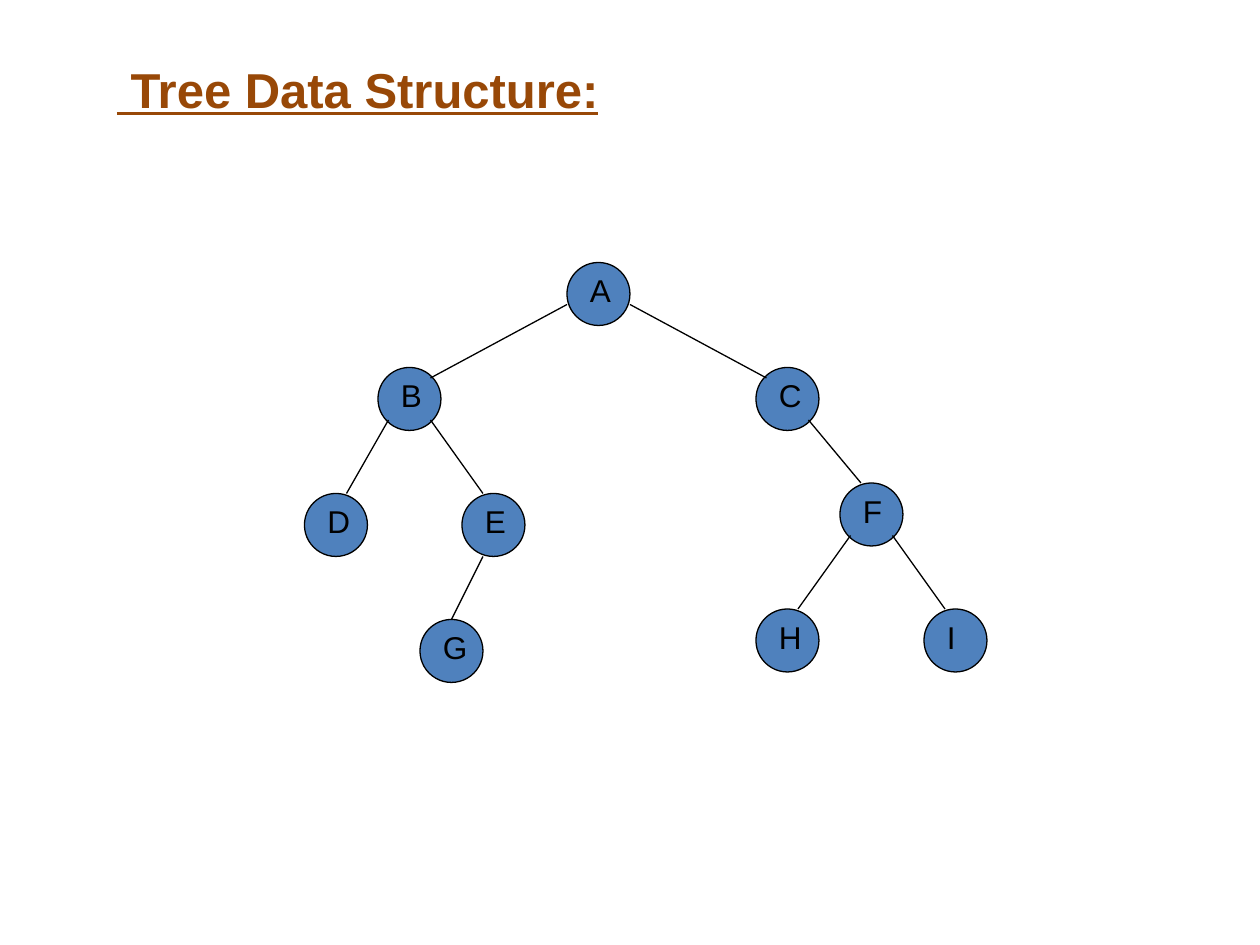
from lxml.etree import SubElement
from pptx import Presentation
from pptx.dml.color import RGBColor
from pptx.enum.shapes import MSO_CONNECTOR, MSO_SHAPE
from pptx.oxml.ns import qn
from pptx.util import Inches, Pt

# Tree coordinates count grid steps of a twelfth of an inch.
GRID = Inches(1) / 12
NODE_SIZE = 6

# Left and top of each node, and the width of its label in inches
NODES = {
    "A": (54, 25, 0.33),
    "B": (36, 35, 0.33),
    "D": (29, 47, 0.42),
    "H": (72, 58, 0.33),
    "C": (72, 35, 0.33),
    "E": (44, 47, 0.33),
    "F": (80, 46, 0.33),
    "G": (40, 59, 0.42),
    "I": (88, 58, 0.42),
}

# Places where a branch meets a node, measured from the node's corner
LEFT_SIDE, RIGHT_SIDE = (0, 4), (6, 4)
LOWER_LEFT, LOWER_RIGHT = (1, 5), (5, 5)
UPPER_LEFT, UPPER_RIGHT = (1, 1), (5, 1)
TOP_LEFT, TOP, TOP_RIGHT = (2, 0), (3, 0), (4, 0)
BOTTOM_LEFT = (2, 6)

BRANCHES = [
    ("A", LEFT_SIDE, "B", UPPER_RIGHT),
    ("A", RIGHT_SIDE, "C", UPPER_LEFT),
    ("B", LOWER_LEFT, "D", TOP_RIGHT),
    ("B", LOWER_RIGHT, "E", TOP_LEFT),
    ("E", BOTTOM_LEFT, "G", TOP),
    ("C", LOWER_RIGHT, "F", TOP_LEFT),
    ("F", LOWER_LEFT, "H", TOP_RIGHT),
    ("F", LOWER_RIGHT, "I", TOP_LEFT),
]


def color(hex_value):
    return RGBColor.from_string(hex_value)


def steps(count):
    """Turn grid steps into a length."""
    return round(count * GRID)


class TreeSlide:
    font = "Arial"
    title_color = "984807"
    node_color = "4F81BD"
    ink = "000000"
    line_width = Pt(0.75)

    def __init__(self, slide):
        self.slide = slide

    def text(self, shapes, words, box, size, hex_value, bold=None, underline=None):
        frame = shapes.add_textbox(*box).text_frame
        frame.word_wrap = True
        run = frame.paragraphs[0].add_run()
        run.text = words
        run.font.name = self.font
        run.font.size = Pt(size)
        run.font.bold = bold
        run.font.underline = underline
        run.font.color.rgb = color(hex_value)

    def title(self, words):
        box = Inches(0.83), Inches(0.42), Inches(7.75), Inches(1.51)
        self.text(self.slide.shapes, words, box, 28, self.title_color, True, True)

    def outline(self, line):
        line.color.rgb = color(self.ink)
        line.width = self.line_width

    def node(self, letter, column, row, label_width):
        """Group a circle with its letter."""
        left, top, size = steps(column), steps(row), steps(NODE_SIZE)
        shapes = self.slide.shapes.add_group_shape().shapes
        circle = shapes.add_shape(MSO_SHAPE.OVAL, left, top, size, size)
        circle.shadow.inherit = False
        circle.fill.solid()
        circle.fill.fore_color.rgb = color(self.node_color)
        self.outline(circle.line)
        box = left + steps(1), top + Inches(0.02), Inches(label_width), Inches(0.4)
        self.text(shapes, letter, box, 18, self.ink)

    def branch(self, parent, exit_point, child, entry_point):
        ends = []
        for letter, offset in ((parent, exit_point), (child, entry_point)):
            column, row, _ = NODES[letter]
            ends += [steps(column + offset[0]), steps(row + offset[1])]
        connector = self.slide.shapes.add_connector(MSO_CONNECTOR.STRAIGHT, *ends)
        self.outline(connector.line)
        SubElement(connector._element.spPr, qn("a:effectLst"))


def main():
    deck = Presentation()
    deck.slide_width, deck.slide_height = Inches(10), Inches(7.5)
    tree = TreeSlide(deck.slides.add_slide(deck.slide_layouts[6]))
    tree.title(" Tree Data Structure:")
    for letter, place in NODES.items():
        tree.node(letter, *place)
    for branch in BRANCHES:
        tree.branch(*branch)
    deck.save("out.pptx")


if __name__ == "__main__":
    main()
